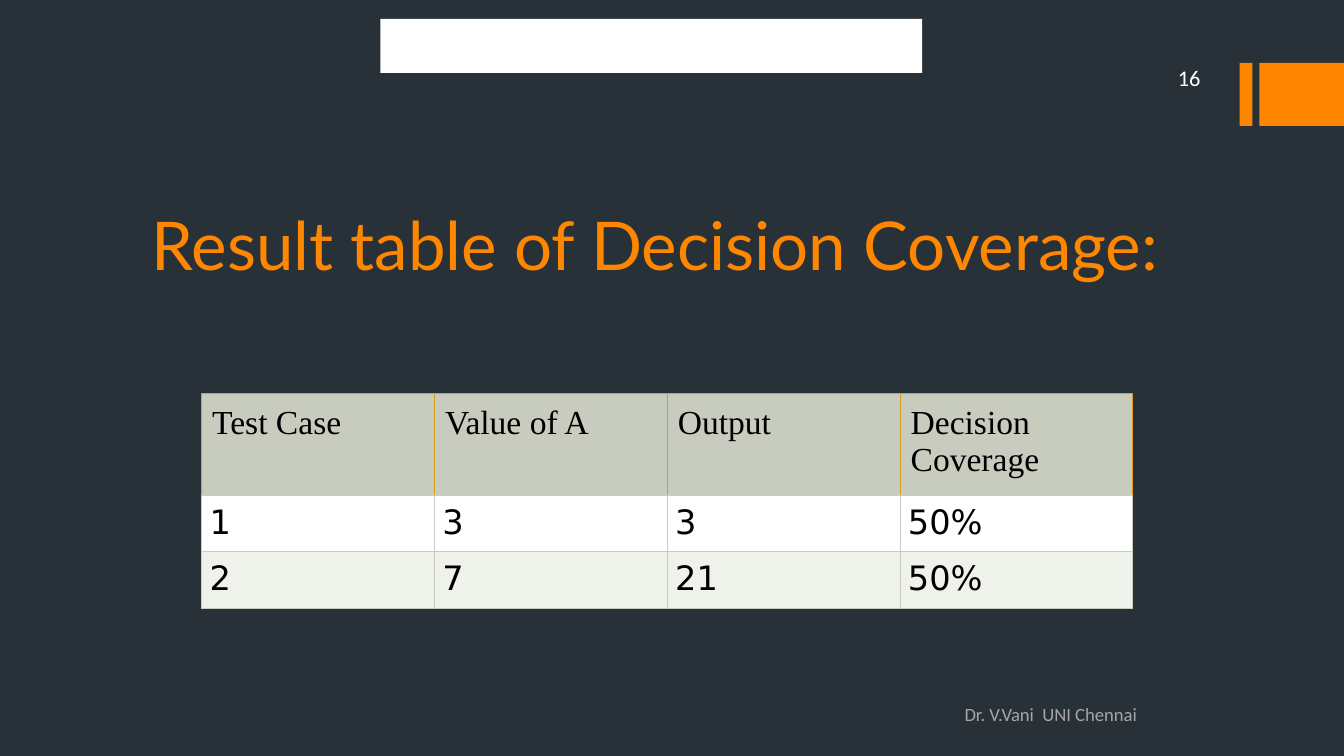
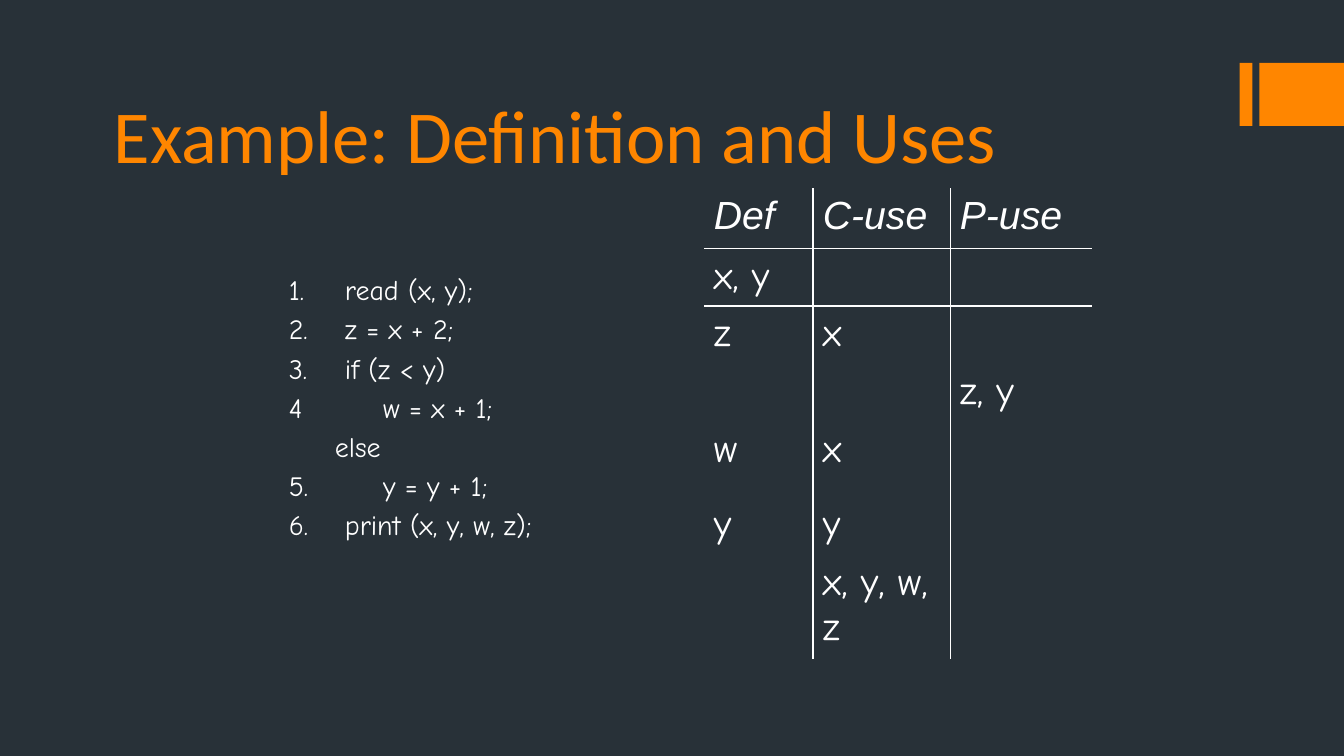
import lxml.etree
import pptx
import pptx.dml.color
import pptx.enum.shapes
import pptx.enum.text
import pptx.oxml.ns
import pptx.util

Cm = pptx.util.Cm
RGBColor = pptx.dml.color.RGBColor
Anchor = pptx.enum.text.MSO_ANCHOR
Align = pptx.enum.text.PP_ALIGN
qn = pptx.oxml.ns.qn

SLATE = RGBColor(0x28, 0x31, 0x38)
ORANGE = RGBColor(0xFF, 0x86, 0x00)
AMBER = RGBColor(0xE0, 0x9B, 0x1D)
SAGE = RGBColor(0xC7, 0xCC, 0xBE)
PALE_SAGE = RGBColor(0xEF, 0xF1, 0xEB)
GREY = RGBColor(0xA6, 0xA6, 0xA6)
WHITE = RGBColor(0xFF, 0xFF, 0xFF)
BLACK = RGBColor(0x00, 0x00, 0x00)

NO_TABLE_STYLE = "{2D5ABB26-0587-4C30-8999-92F81FD0307C}"


def write(paragraph, text, *, font, size, color, italic=False, align=None,
          before=0, margin=0, indent=0):
    """Fill a paragraph; before is a percentage, margin and indent are in cm."""
    run = paragraph.add_run()
    run.text = text
    run.font.name = font
    run.font.size = pptx.util.Pt(size)
    run.font.color.rgb = color
    run.font.italic = italic
    paragraph.alignment = align
    properties = paragraph._p.get_or_add_pPr()
    properties.set("marL", str(Cm(margin)))
    properties.set("indent", str(Cm(indent)))
    if before:
        spacing = lxml.etree.SubElement(properties, qn("a:spcBef"))
        percent = lxml.etree.SubElement(spacing, qn("a:spcPct"))
        percent.set("val", str(before * 1000))


def set_borders(cell, borders, width):
    """Draw the sides named in borders (L, R, T, B) in their colours."""
    properties = cell._tc.get_or_add_tcPr()
    for side in "LRTB":
        if side in borders:
            line = lxml.etree.SubElement(properties, qn("a:ln" + side))
            line.set("w", str(pptx.util.Pt(width)))
            fill = lxml.etree.SubElement(line, qn("a:solidFill"))
            color = lxml.etree.SubElement(fill, qn("a:srgbClr"))
            color.set("val", str(borders[side]))


class Deck:
    def __init__(self):
        self.presentation = pptx.Presentation()
        self.presentation.slide_width = Cm(25.4)
        self.presentation.slide_height = Cm(14.29)
        self.slide = None

    def add_slide(self):
        self.slide = self.presentation.slides.add_slide(
            self.presentation.slide_layouts[6])
        self.slide.background.fill.solid()
        self.slide.background.fill.fore_color.rgb = SLATE
        # Corner band
        self.rectangle(23.43, 1.19, 0.24, 1.19, ORANGE)
        self.rectangle(23.8, 1.19, 1.6, 1.19, ORANGE)

    def rectangle(self, left, top, width, height, color):
        shape = self.slide.shapes.add_shape(
            pptx.enum.shapes.MSO_SHAPE.RECTANGLE,
            Cm(left), Cm(top), Cm(width), Cm(height))
        shape.shadow.inherit = False
        shape.fill.solid()
        shape.fill.fore_color.rgb = color
        shape.line.fill.background()

    def text_frame(self, left, top, width, height, anchor=Anchor.TOP):
        shape = self.slide.shapes.add_textbox(
            Cm(left), Cm(top), Cm(width), Cm(height))
        frame = shape.text_frame
        frame.word_wrap = True
        frame.vertical_anchor = anchor
        return frame

    def title(self, text, left, top, font, size, space_below=0.13):
        frame = self.text_frame(left, top, 20.32, 2.41, Anchor.BOTTOM)
        frame.margin_bottom = Cm(space_below)
        write(frame.paragraphs[0], text, font=font, size=size, color=ORANGE)

    def footer(self, text, number):
        frame = self.text_frame(17.98, 13.28, 6.25, 0.64)
        frame.margin_top = 0
        write(frame.paragraphs[0], text, font="Calibri", size=10, color=GREY)
        frame = self.text_frame(20.32, 1.14, 2.62, 0.64, Anchor.MIDDLE)
        write(frame.paragraphs[0], number, font="Calibri", size=12,
              color=WHITE, align=Align.RIGHT)

    def code(self, lines, left, top, width, height):
        frame = self.text_frame(left, top, width, height)
        for index, (text, margin, indent) in enumerate(lines):
            paragraph = frame.add_paragraph() if index else frame.paragraphs[0]
            write(paragraph, text, font="Comic Neue", size=15, color=WHITE,
                  before=20, margin=margin, indent=indent)

    def table(self, rows, left, top, widths, heights, style_cell):
        """style_cell(row, column) gives inset, borders, line, fill and text."""
        frame = self.slide.shapes.add_table(
            len(rows), len(widths), Cm(left), Cm(top),
            Cm(sum(widths)), Cm(sum(heights)))
        table = frame.table
        table._tbl.tblPr.find(qn("a:tableStyleId")).text = NO_TABLE_STYLE
        table.first_row = table.horz_banding = False
        for column, width in zip(table.columns, widths):
            column.width = Cm(width)
        for row, height in zip(table.rows, heights):
            row.height = Cm(height)
        for row, texts in enumerate(rows):
            for column, text in enumerate(texts):
                cell = table.cell(row, column)
                style = style_cell(row, column)
                side_inset, top_inset = style["inset"]
                cell.margin_left = cell.margin_right = Cm(side_inset)
                cell.margin_top = cell.margin_bottom = Cm(top_inset)
                set_borders(cell, style["borders"], style["line"])
                if style["fill"] is None:
                    cell.fill.background()
                else:
                    cell.fill.solid()
                    cell.fill.fore_color.rgb = style["fill"]
                if text:
                    write(cell.text_frame.paragraphs[0], text, **style["text"])


def coverage_cell(row, column):
    header = row == 0
    side_color = AMBER if header else SAGE
    inset = 0.2 if header else 0.15
    return {
        "inset": (inset, inset),
        "borders": {"L": side_color, "R": side_color, "T": side_color, "B": SAGE},
        "line": 0.5,
        "fill": (SAGE, WHITE, PALE_SAGE)[row],
        "text": {"font": "Times New Roman" if header else "DejaVu Sans",
                 "size": 18, "color": BLACK},
    }


def uses_cell(row, column):
    header = row == 0
    sides = ("L" if column > 0 else "") + ("R" if column < 2 else "")
    sides += {0: "B", 1: "T"}.get(row, "")
    return {
        "inset": (0.18, 0.1),
        "borders": dict.fromkeys(sides, WHITE),
        "line": 1,
        "fill": None,
        "text": {"font": "Arial" if header else "Comic Neue", "size": 21,
                 "color": WHITE, "italic": header, "before": 20},
    }


def build_coverage(deck):
    deck.add_slide()
    deck.title("Result table of Decision Coverage:", 2.62, 4.65, "Lato", 36,
               space_below=1.7)
    deck.table(
        [["Test Case", "Value of A", "Output", "Decision Coverage"],
         ["1", "3", "3", "50%"],
         ["2", "7", "21", "50%"]],
        3.81, 7.44, [4.4] * 4, [1.83, 1.02, 1.02], coverage_cell)
    deck.footer("Dr. V.Vani  UNI Chennai", "16")
    deck.rectangle(7.19, 0.36, 10.24, 1.02, WHITE)


def build_uses(deck):
    deck.add_slide()
    deck.title("Example: Definition and Uses", 1.9, 1.09, "Calibri", 40)
    # Numbered code: statements, nested statements and the else line
    statement = (1.19, -1.06)
    nested = (0.64, -0.51)
    deck.code(
        [("1.\tread (x, y);", *statement),
         ("2.\tz = x + 2;", *statement),
         ("3.\tif (z < y)", *statement),
         ("4\t\tw = x + 1;", *nested),
         ("else", 1, 0),
         ("5.\t\ty = y + 1;", *nested),
         ("6.\tprint (x, y, w, z);", *statement)],
        5.08, 5.03, 6.98, 6.71)
    deck.table(
        [["Def", "C-use", "P-use"],
         ["x, y", "", ""],
         ["z", "x", ""],
         ["", "", "z, y"],
         ["w", "x", ""],
         ["y", "y", ""],
         ["", "x, y, w, z", ""]],
        13.31, 3.56, [2.06, 2.59, 2.67],
        [1.14, 1.09, 1.09, 1.09, 1.42, 1.09, 1.98], uses_cell)


def main():
    deck = Deck()
    build_coverage(deck)
    build_uses(deck)
    deck.presentation.save("out.pptx")


if __name__ == "__main__":
    main()
